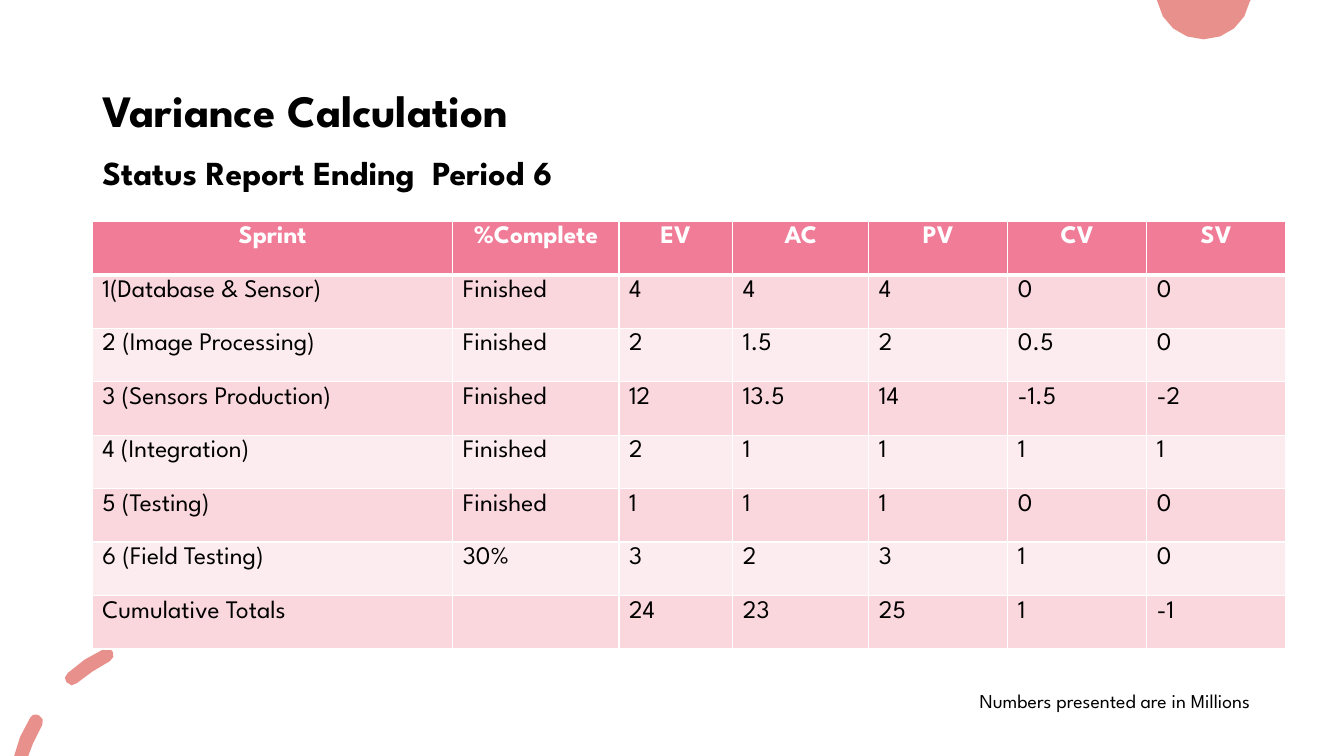
from lxml import etree
from pptx import Presentation
from pptx.dml.color import RGBColor
from pptx.enum.text import MSO_ANCHOR, PP_ALIGN
from pptx.oxml.ns import qn
from pptx.util import Inches, Pt

LEFT, CENTER = PP_ALIGN.LEFT, PP_ALIGN.CENTER
TOP, MIDDLE = MSO_ANCHOR.TOP, MSO_ANCHOR.MIDDLE
WIDE, HIGH = Inches(13.33), Inches(7.5)
FONT = "League Spartan"
BLACK = RGBColor(0x00, 0x00, 0x00)
WHITE = RGBColor(0xFF, 0xFF, 0xFF)
CORAL = RGBColor(0xE8, 0x90, 0x8B)
PINK = RGBColor(0xF0, 0x7C, 0x98)
BANDS = RGBColor(0xF9, 0xD7, 0xDD), RGBColor(0xFC, 0xEC, 0xEF)

COLS = 3.58, 1.65, 1.13, 1.35, 1.38, 1.38, 1.38
ROWS = [
    ("Sprint", "%Complete", "EV", "AC", "PV", "CV", "SV"),
    ("1(Database & Sensor)", "Finished", "4", "4", "4", "0", "0"),
    ("2 (Image Processing)", "Finished", "2", "1.5", "2", "0.5", "0"),
    ("3 (Sensors Production)", "Finished", "12", "13.5", "14", "-1.5", "-2"),
    ("4 (Integration)", "Finished", "2", "1", "1", "1", "1"),
    ("5 (Testing)", "Finished", "1", "1", "1", "0", "0"),
    ("6 (Field Testing)", "30%", "3", "2", "3", "1", "0"),
    ("Cumulative Totals", "", "24", "23", "25", "1", "-1"),
]

DISC = [
    [(0, 0), (93, 0), (92, 1), (88, 23, 69, 39, 46, 39), (23, 39, 4, 23, 0, 1)],
]
DASHES = [
    [(22, 84), (20, 83, 17, 85, 16, 87), (6, 106), (0, 125), (14, 125),
     (19, 112), (28, 94), (30, 91, 28, 86, 25, 85)],
    [(91, 18), (89, 19), (76, 25, 63, 33, 53, 43), (50, 45, 49, 50, 52, 52),
     (57, 55), (62, 53), (72, 45, 83, 37, 95, 31),
     (98, 29, 100, 25, 98, 22), (97, 19, 94, 18, 91, 18)],
    [(165, 0), (144, 2), (140, 2, 137, 6, 138, 10),
     (138, 13, 141, 16, 144, 16), (159, 14, 172, 14, 185, 15),
     (189, 16, 193, 13, 193, 10), (194, 6, 191, 2, 187, 2)],
]


def share(x, y, w, h):
    return [round(part * size / 100)
            for part, size in zip((x, y, w, h), (WIDE, HIGH, WIDE, HIGH))]


def trace(path, steps):
    points = []
    for step in path:
        if len(step) == 2:
            points.append(step)
            continue
        ends = [points[-1], step[:2], step[2:4], step[4:]]
        for i in range(1, steps + 1):
            t = i / steps
            u = 1 - t
            mix = u ** 3, 3 * u * u * t, 3 * u * t * t, t ** 3
            points.append(tuple(sum(m * p[axis] for m, p in zip(mix, ends))
                                for axis in (0, 1)))
    return points


def draw_form(slide, box, paths, span, steps):
    x, y, w, h = box
    unit = w / span
    form = None
    for path in paths:
        points = [(round(px * unit), round(py * unit))
                  for px, py in trace(path, steps)]
        if form is None:
            form = slide.shapes.build_freeform(*points[0], scale=1.0)
        else:
            form.move_to(*points[0])
        form.add_line_segments(points[1:], close=True)
    shape = form.convert_to_shape(x, y)
    shape.shadow.inherit = False
    shape.fill.solid()
    shape.fill.fore_color.rgb = CORAL
    shape.line.fill.background()


def style(para, size, color, bold, align):
    para.alignment = align
    para.font.name = FONT
    para.font.size = Pt(size)
    para.font.bold = bold
    para.font.color.rgb = color


def add_text(slide, box, text, size, bold=True, align=LEFT, anchor=TOP,
             space=0, pitch=0.9):
    frame = slide.shapes.add_textbox(*box).text_frame
    frame.word_wrap = True
    frame.vertical_anchor = anchor
    para = frame.paragraphs[0]
    para.text = text
    para.line_spacing = pitch
    para.space_before = Pt(space)
    style(para, size, BLACK, bold, align)


def edge(cell, top, base):
    props = cell._tc.get_or_add_tcPr()
    sides = ("a:lnL", 1), ("a:lnR", 1), ("a:lnT", top), ("a:lnB", base)
    for spot, (tag, width) in enumerate(sides):
        line = etree.Element(qn(tag), w=str(Pt(width)))
        fill = etree.SubElement(line, qn("a:solidFill"))
        etree.SubElement(fill, qn("a:srgbClr"), val=str(WHITE))
        props.insert(spot, line)


def add_grid(slide, box):
    x, y, w, h = box
    table = slide.shapes.add_table(len(ROWS), len(COLS), x, y, w, h).table
    for col, part in zip(table.columns, COLS):
        col.width = round(w * part / sum(COLS))
    for r, row in enumerate(ROWS):
        table.rows[r].height = round(h / len(ROWS))
        head = r == 0
        for c, text in enumerate(row):
            cell = table.cell(r, c)
            cell.fill.solid()
            cell.fill.fore_color.rgb = PINK if head else BANDS[(r - 1) % 2]
            edge(cell, 3 if r == 1 else 1, 3 if head else 1)
            para = cell.text_frame.paragraphs[0]
            para.text = text
            style(para, 18, WHITE if head else BLACK, head,
                  CENTER if head else LEFT)


def main():
    deck = Presentation()
    deck.slide_width, deck.slide_height = WIDE, HIGH
    slide = deck.slides.add_slide(deck.slide_layouts[6])
    draw_form(slide, share(86.1, 0, 6.98, 5.2), DISC, 93, 4)
    draw_form(slide, share(1.05, 83.33, 14.55, 16.67), DASHES, 194, 2)
    add_text(slide, share(6.88, 5.33, 86.27, 19.33), "Variance Calculation", 32,
             anchor=MIDDLE)
    add_text(slide, share(6.88, 20.07, 86.27, 62.8),
             "Status Report Ending  Period 6", 24, space=10)
    add_grid(slide, share(6.87, 29.27, 88.8, 56.6))
    add_text(slide, share(70.32, 90.53, 25.28, 4.53),
             "Numbers presented are in Millions", 14, bold=False,
             align=CENTER, pitch=1.0)
    deck.save("out.pptx")


if __name__ == "__main__":
    main()
